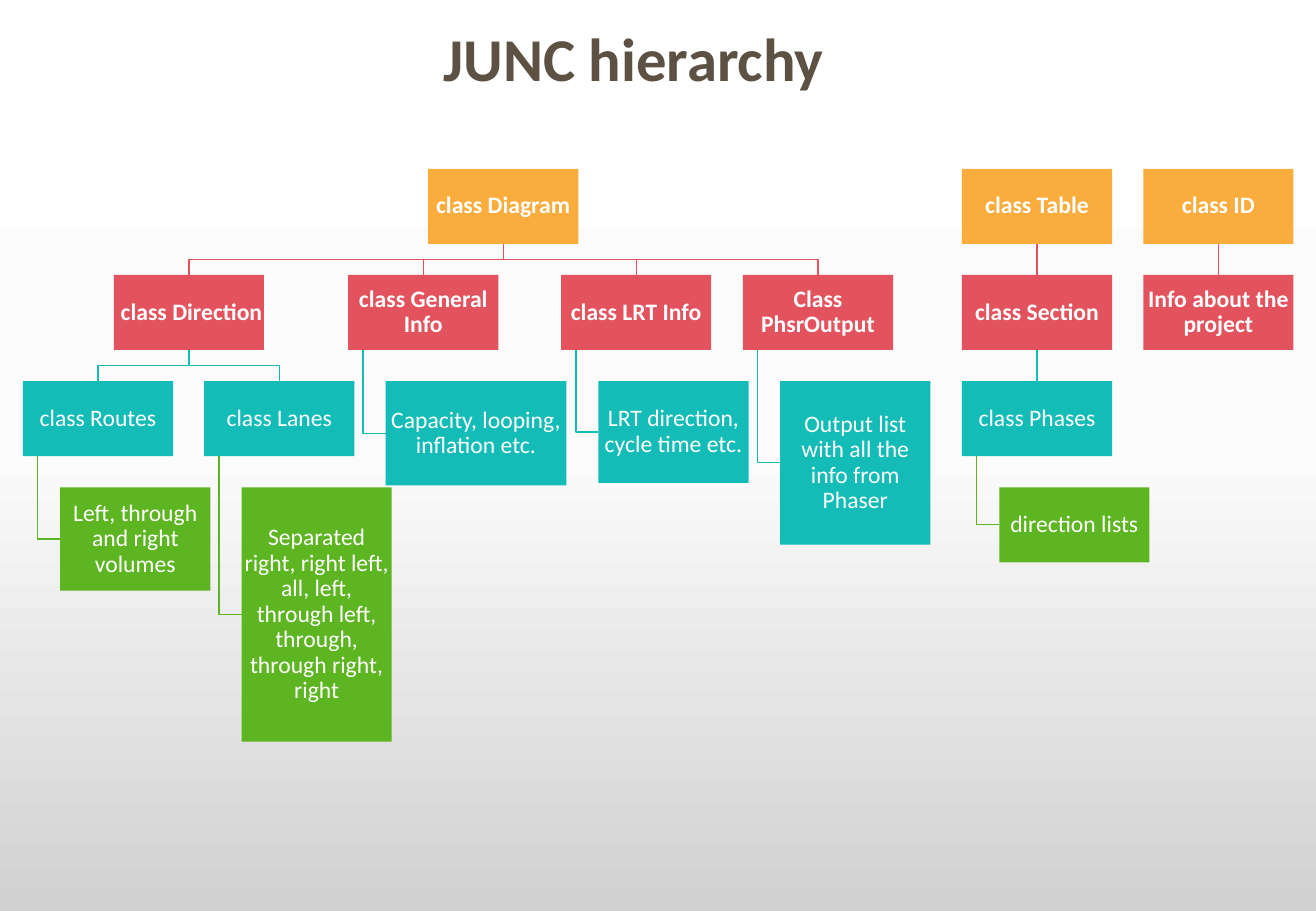
from copy import deepcopy
from lxml.etree import SubElement
from pptx import Presentation
from pptx.dml.color import RGBColor
from pptx.enum.shapes import MSO_CONNECTOR, MSO_SHAPE
from pptx.enum.text import MSO_ANCHOR, MSO_AUTO_SIZE, PP_ALIGN
from pptx.oxml.ns import qn
from pptx.util import Cm, Pt

COLORS = {
    "title": "5D5144",
    "text": "FFFFFF",
    "level0": "FAAC3D",
    "level1": "E3535D",
    "level2": "13BCB7",
    "level3": "5DB521",
}
BACKGROUND = [(0, "FFFFFF"), (0.5, "FBFBFB"), (1, "D1D1D1")]
BOX_W, BOX_H = 3.14, 1.57
TOP, LEVEL_STEP = 3.53, 2.22
STEM, INDENT = 0.31, 0.78


class Chart:
    font = "Calibri"

    def __init__(self, slide):
        self.slide = slide
        self.shapes = slide.shapes

    def color(self, name):
        return RGBColor.from_string(COLORS[name])

    def background(self, stops):
        fill = self.slide.background.fill
        fill.gradient()
        fill.gradient_angle = 270
        gs_list = self.slide.element.find(".//" + qn("a:gsLst"))
        gs_list.insert(1, deepcopy(gs_list[0]))
        for stop, (position, rgb) in zip(fill.gradient_stops, stops):
            stop.position = position
            stop.color.rgb = RGBColor.from_string(rgb)

    def label(self, tf, text, size, color, bold):
        p = tf.paragraphs[0]
        p.text = text
        p.font.name = self.font
        p.font.size = Pt(size)
        p.font.bold = bold
        p.font.color.rgb = self.color(color)
        return p

    def title(self, text, left, top, width, height):
        tf = self.shapes.add_textbox(Cm(left), Cm(top), Cm(width), Cm(height)).text_frame
        tf.word_wrap = False
        tf.auto_size = MSO_AUTO_SIZE.SHAPE_TO_FIT_TEXT
        self.label(tf, text, 36, "title", True)

    def box(self, text, left, level, width=BOX_W, height=BOX_H):
        sp = self.shapes.add_shape(
            MSO_SHAPE.RECTANGLE,
            Cm(left), Cm(TOP + level * LEVEL_STEP), Cm(width), Cm(height),
        )
        sp.shadow.inherit = False
        sp.fill.solid()
        sp.fill.fore_color.rgb = self.color(f"level{level}")
        sp.line.fill.background()
        tf = sp.text_frame
        tf.word_wrap = True
        tf.vertical_anchor = MSO_ANCHOR.MIDDLE
        tf.margin_left = tf.margin_right = tf.margin_top = tf.margin_bottom = Cm(0.03)
        p = self.label(tf, text, 14, "text", level < 2)
        p.alignment = PP_ALIGN.CENTER
        p.line_spacing = 0.9
        return sp

    def stroke(self, sp, level):
        sp.line.width = Pt(0.75)
        sp.line.color.rgb = self.color(f"level{level}")

    def straight(self, parent, child, level):
        line = self.shapes.add_connector(MSO_CONNECTOR.STRAIGHT, 0, 0, 0, 0)
        line.begin_connect(parent, 2)
        line.end_connect(child, 0)
        self.stroke(line, level)
        SubElement(line.element.spPr, qn("a:effectLst"))

    def polyline(self, points, level):
        builder = self.shapes.build_freeform(*points[0])
        builder.add_line_segments(points[1:], close=False)
        sp = builder.convert_to_shape()
        sp.shadow.inherit = False
        sp.fill.background()
        self.stroke(sp, level)

    def branch(self, parent, child, level):
        x1, y1 = parent.left + parent.width // 2, parent.top + parent.height
        x2, y2 = child.left + child.width // 2, child.top
        middle = (y1 + y2) // 2
        self.polyline([(x1, y1), (x1, middle), (x2, middle), (x2, y2)], level)

    def hang(self, parent, child, level):
        x, y = parent.left + Cm(STEM), child.top + child.height // 2
        self.polyline([(x, parent.top + parent.height), (x, y), (child.left, y)], level)

    def leaf(self, parent, text, level, width=BOX_W, height=BOX_H):
        child = self.box(text, parent.left.cm + INDENT, level, width, height)
        self.hang(parent, child, level)


def main():
    prs = Presentation()
    prs.slide_width, prs.slide_height = Cm(27.51), Cm(19.05)
    s = prs.slides.add_slide(prs.slide_layouts[6])
    chart = Chart(s)
    chart.background(BACKGROUND)
    chart.title("JUNC hierarchy", 9.02, 0.3, 9.5, 1.8)

    diagram = chart.box("class Diagram", 8.95, 0)
    direction = chart.box(" class Direction", 2.38, 1)
    chart.branch(diagram, direction, 1)
    for text, left, detail, height in [
        ("class Routes", 0.48, "Left, through and right volumes", 2.16),
        ("class Lanes", 4.27,
         "Separated right, right left, all, left, through left, through, through right, right", 5.32),
    ]:
        child = chart.box(text, left, 2)
        chart.branch(direction, child, 2)
        chart.leaf(child, detail, 3, height=height)

    for text, left, detail, width, height in [
        ("class General Info", 7.28, "Capacity, looping, inflation etc.", 3.78, 2.18),
        ("class LRT Info", 11.73, "LRT direction, cycle time etc.", BOX_W, 2.13),
        ("Class PhsrOutput", 15.53, "Output list with all the info from Phaser", BOX_W, 3.42),
    ]:
        child = chart.box(text, left, 1)
        chart.branch(diagram, child, 1)
        chart.leaf(child, detail, 2, width, height)

    for left, names in [
        (20.11, ["class Table", "class Section", "class Phases"]),
        (23.9, ["class ID", "Info about the project"]),
    ]:
        column = [chart.box(name, left, level) for level, name in enumerate(names)]
        for level, (parent, child) in enumerate(zip(column, column[1:]), 1):
            chart.straight(parent, child, level)
        if len(column) == 3:
            chart.leaf(column[-1], "direction lists", 3)

    prs.save("out.pptx")


if __name__ == "__main__":
    main()
